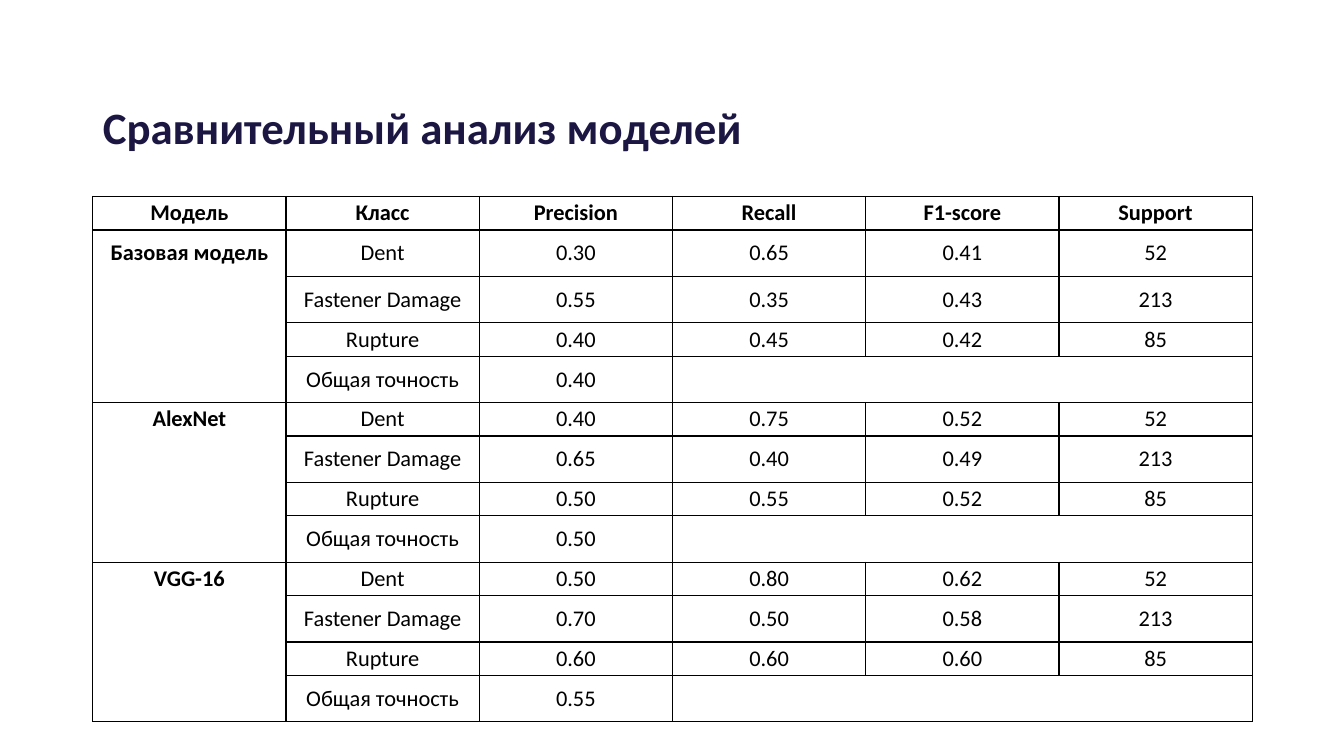
from lxml import etree
from pptx import Presentation
from pptx.dml.color import RGBColor
from pptx.enum.text import MSO_ANCHOR as ANCHOR, PP_ALIGN as ALIGN
from pptx.oxml.ns import qn
from pptx.util import Inches, Pt

COLORS = {"title": "1B1642", "ink": "000000", "paper": "FFFFFF"}
FONT = "Calibri"

HEADERS = ["Модель", "Класс", "Precision", "Recall", "F1-score", "Support"]
CLASSES = ["Dent", "Fastener Damage", "Rupture"]
SUPPORT = ["52", "213", "85"]
TOTAL = "Общая точность"
# Model, scores (precision, recall, F1) per class, overall accuracy
MODELS = [
    ("Базовая модель", ["0.30 0.65 0.41", "0.55 0.35 0.43", "0.40 0.45 0.42"], "0.40"),
    ("AlexNet", ["0.40 0.75 0.52", "0.65 0.40 0.49", "0.50 0.55 0.52"], "0.50"),
    ("VGG-16", ["0.50 0.80 0.62", "0.70 0.50 0.58", "0.60 0.60 0.60"], "0.55"),
]
GROUP = len(CLASSES) + 1
LOW, HIGH = 0.26, 0.46


def write(tf, text, size, color="ink", bold=False, align=ALIGN.CENTER, spacing=None):
    p = tf.paragraphs[0]
    p.alignment = align
    p.line_spacing = spacing
    if not text:
        # Keeps an empty cell as low as its neighbours
        etree.SubElement(p._p, qn("a:endParaRPr"), sz=str(size * 100))
        return
    r = p.add_run()
    r.text = text
    r.font.name, r.font.size, r.font.bold = FONT, Pt(size), bold
    r.font.color.rgb = RGBColor.from_string(COLORS[color])


def set_borders(cell, sides):
    tc_pr = cell._tc.get_or_add_tcPr()
    for i, side in enumerate("LRTB"):
        ln = etree.Element(qn(f"a:ln{side}"), w=str(Pt(1)))
        if side in sides:
            fill = etree.SubElement(ln, qn("a:solidFill"))
            etree.SubElement(fill, qn("a:srgbClr"), val=COLORS["ink"])
        else:
            etree.SubElement(ln, qn("a:noFill"))
        tc_pr.insert(i, ln)


prs = Presentation()
prs.slide_width, prs.slide_height = Inches(13.33), Inches(7.5)
slide = prs.slides.add_slide(prs.slide_layouts[5])

# Title on a translucent white panel
title = slide.shapes.title
title.left, title.top = Inches(0.92), Inches(0.4)
title.width, title.height = Inches(11.5), Inches(1.45)
title.fill.solid()
title.fill.fore_color.rgb = RGBColor.from_string(COLORS["paper"])
panel_color = title._element.spPr.find(".//" + qn("a:srgbClr"))
etree.SubElement(panel_color, qn("a:alpha"), val="30000")
title.text_frame.vertical_anchor = ANCHOR.MIDDLE
write(title.text_frame, "Сравнительный анализ моделей", 32, "title",
      bold=True, align=ALIGN.LEFT, spacing=1.5)

# Table rows
rows = [HEADERS]
for model, scores, accuracy in MODELS:
    for i, name in enumerate(CLASSES):
        rows.append([model if i == 0 else "", name, *scores[i].split(), SUPPORT[i]])
    rows.append(["", TOTAL, accuracy, "", "", ""])
heights = [LOW] + [HIGH, HIGH, LOW, HIGH] + [LOW, HIGH] * 4

# Table grid
frame = slide.shapes.add_table(len(rows), len(HEADERS), Inches(0.92), Inches(1.95),
                               Inches(11.5), Inches(sum(heights)))
table = frame.table
table.first_row = table.horz_banding = False
for row, height in zip(table.rows, heights):
    row.height = Inches(height)

# Cells: model names span their group, totals leave one open strip
for r, values in enumerate(rows):
    step = (r - 1) % GROUP
    for c, text in enumerate(values):
        cell = table.cell(r, c)
        cell.fill.background()
        cell.vertical_anchor = ANCHOR.MIDDLE
        cell.margin_left = cell.margin_right = Inches(0.07)
        cell.margin_top = cell.margin_bottom = Inches(0.03)
        write(cell.text_frame, text, 16, bold=r == 0 or c == 0)
        sides = "LRTB"
        if r > 0 and c == 0:
            sides = "LR" + ("T" if step == 0 else "") + ("B" if step == GROUP - 1 else "")
        elif r > 0 and step == GROUP - 1 and c >= 3:
            sides = "TB" + {3: "L", 5: "R"}.get(c, "")
        set_borders(cell, sides)

prs.save("out.pptx")
